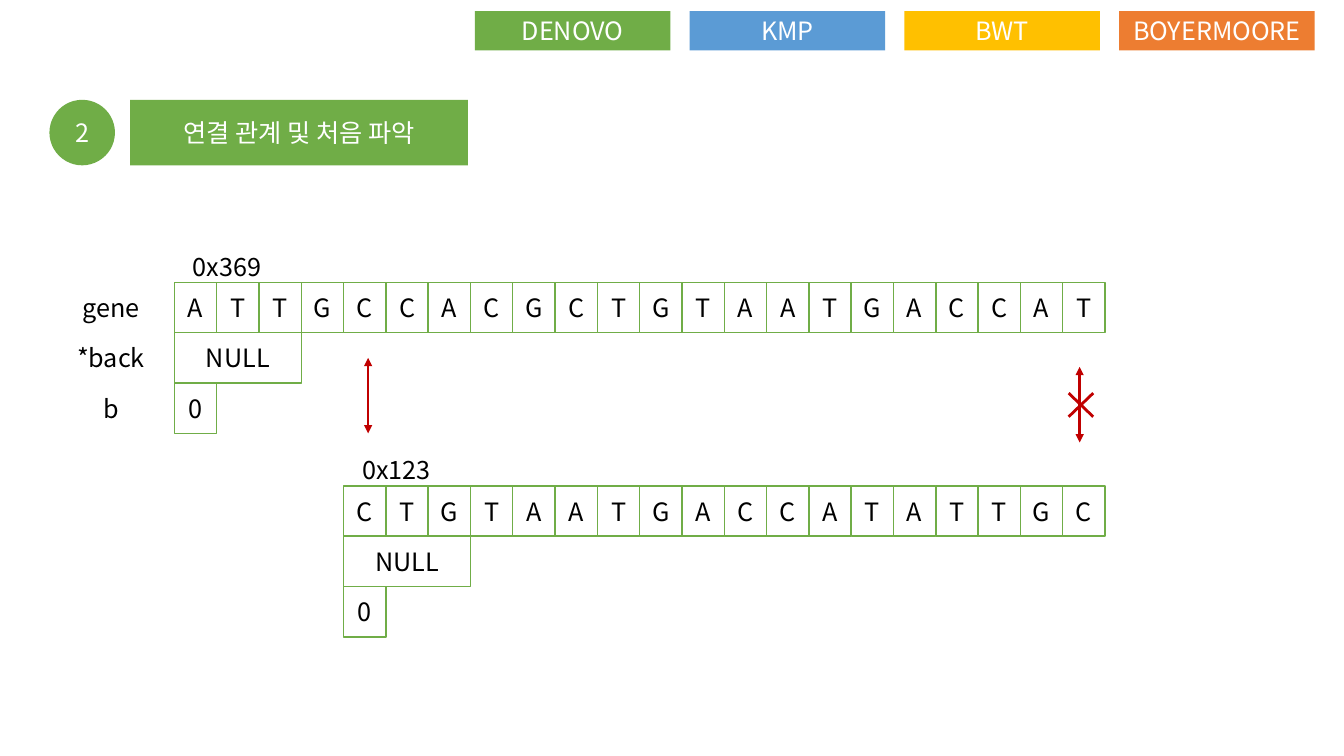
from dataclasses import dataclass

from lxml.etree import SubElement
from pptx import Presentation
from pptx.dml.color import RGBColor
from pptx.enum.shapes import MSO_CONNECTOR, MSO_SHAPE
from pptx.enum.text import MSO_ANCHOR, MSO_AUTO_SIZE, PP_ALIGN
from pptx.oxml.ns import qn
from pptx.util import Inches, Pt


@dataclass(frozen=True)
class Theme:
    font: str = "Noto Sans CJK KR"
    size: float = 18
    green: str = "70AD47"
    blue: str = "5B9BD5"
    yellow: str = "FFC000"
    orange: str = "ED7D31"
    red: str = "C00000"
    white: str = "FFFFFF"
    black: str = "000000"
    cell_line: float = 1
    arrow_line: float = 1.75
    cross_line: float = 2


THEME = Theme()
LEFT, TOP, RIGHT = 1.73, 2.8, 10.96
GENE = "ATTGCCACGCTGTAATGACCAT"
READ = "CTGTAATGACCATATTGC"
COL = (RIGHT - LEFT) / len(GENE)
ROW = 0.5
READ_COL = len(GENE) - len(READ)
READ_ROW = 4.04
ADDRESS_COLS, ADDRESS_ROWS = 2.5, 0.64


def rgb(value):
    return RGBColor.from_string(value)


def x_at(col):
    return LEFT + col * COL


def y_at(row):
    return TOP + row * ROW


def grid_box(col, row, cols=1, rows=1):
    return [Inches(v) for v in (x_at(col), y_at(row), cols * COL, rows * ROW)]


def set_text(sp, text, color):
    tf = sp.text_frame
    tf.word_wrap = True
    tf.auto_size = MSO_AUTO_SIZE.NONE
    tf.vertical_anchor = MSO_ANCHOR.MIDDLE
    tf.margin_left = tf.margin_right = tf.margin_top = tf.margin_bottom = 0
    p = tf.paragraphs[0]
    p.text = text
    p.alignment = PP_ALIGN.CENTER
    p.font.size = Pt(THEME.size)
    p.font.color.rgb = rgb(color)
    p.font.name = THEME.font
    SubElement(p._p.pPr.find(qn("a:defRPr")), qn("a:ea"), typeface=THEME.font)


def add_badge(shapes, kind, box, text, fill):
    sp = shapes.add_shape(kind, *[Inches(v) for v in box])
    sp.shadow.inherit = False
    sp.fill.solid()
    sp.fill.fore_color.rgb = rgb(fill)
    sp.line.fill.background()
    set_text(sp, text, THEME.white)


def add_title(s, box, text):
    sp = s.shapes.title
    sp.left, sp.top, sp.width, sp.height = [Inches(v) for v in box]
    geom = SubElement(sp._element.spPr, qn("a:prstGeom"), prst="snip2DiagRect")
    SubElement(geom, qn("a:avLst"))
    sp.fill.solid()
    sp.fill.fore_color.rgb = rgb(THEME.green)
    set_text(sp, text, THEME.white)


def add_cell(shapes, text, col, row, cols=1):
    sp = shapes.add_shape(MSO_SHAPE.RECTANGLE, *grid_box(col, row, cols))
    sp.shadow.inherit = False
    sp.fill.solid()
    sp.fill.fore_color.rgb = rgb(THEME.white)
    sp.line.color.rgb = rgb(THEME.green)
    sp.line.width = Pt(THEME.cell_line)
    set_text(sp, text, THEME.black)


def add_label(shapes, text, col, row, cols, rows=1):
    sp = shapes.add_textbox(*grid_box(col, row, cols, rows))
    set_text(sp, text, THEME.black)


def add_node(s, bases, address, col, row, labels=()):
    shapes = s.shapes.add_group_shape().shapes
    for i, base in enumerate(bases):
        add_cell(shapes, base, col + i, row)
    add_cell(shapes, "NULL", col, row + 1, 3)
    add_cell(shapes, "0", col, row + 2)
    for i, label in enumerate(labels):
        add_label(shapes, label, col - 3, row + i, 3)
    add_label(shapes, address, col, row - ADDRESS_ROWS, ADDRESS_COLS, ADDRESS_ROWS)


def add_line(shapes, start, end, width, arrows=False):
    ends = [Inches(v) for col, row in (start, end) for v in (x_at(col), y_at(row))]
    c = shapes.add_connector(MSO_CONNECTOR.STRAIGHT, *ends)
    c.line.color.rgb = rgb(THEME.red)
    c.line.width = Pt(width)
    spPr = c._element.spPr
    if arrows:
        for tag in ("a:headEnd", "a:tailEnd"):
            SubElement(spPr.find(qn("a:ln")), qn(tag), type="triangle")
    SubElement(spPr, qn("a:effectLst"))


def add_cross(s, left, top, right, bottom):
    shapes = s.shapes.add_group_shape().shapes
    add_line(shapes, (left, top), (right, bottom), THEME.cross_line)
    add_line(shapes, (right, top), (left, bottom), THEME.cross_line)


def main():
    prs = Presentation()
    prs.slide_width, prs.slide_height = Inches(13.33), Inches(7.5)
    s = prs.slides.add_slide(prs.slide_layouts[5])

    add_badge(s.shapes, MSO_SHAPE.OVAL, (0.49, 0.99, 0.65, 0.65), "2", THEME.green)
    add_title(s, (1.29, 0.99, 3.35, 0.65), "연결 관계 및 처음 파악")

    tabs = [("DENOVO", THEME.green), ("KMP", THEME.blue),
            ("BWT", THEME.yellow), ("BOYERMOORE", THEME.orange)]
    for i, (name, fill) in enumerate(tabs):
        box = (4.71 + i * 2.13, 0.11, 1.94, 0.39)
        add_badge(s.shapes, MSO_SHAPE.RECTANGLE, box, name, fill)

    add_node(s, READ, "0x123", READ_COL, READ_ROW)
    add_node(s, GENE, "0x369", 0, 0, ("gene", "*back", "b"))

    for col, row in ((4.58, 1.5), (21.4, 1.68)):
        add_line(s.shapes, (col, row), (col, row + 1.5), THEME.arrow_line, arrows=True)
    add_cross(s, 21.14, 2.2, 21.72, 2.67)

    prs.save("out.pptx")


if __name__ == "__main__":
    main()
